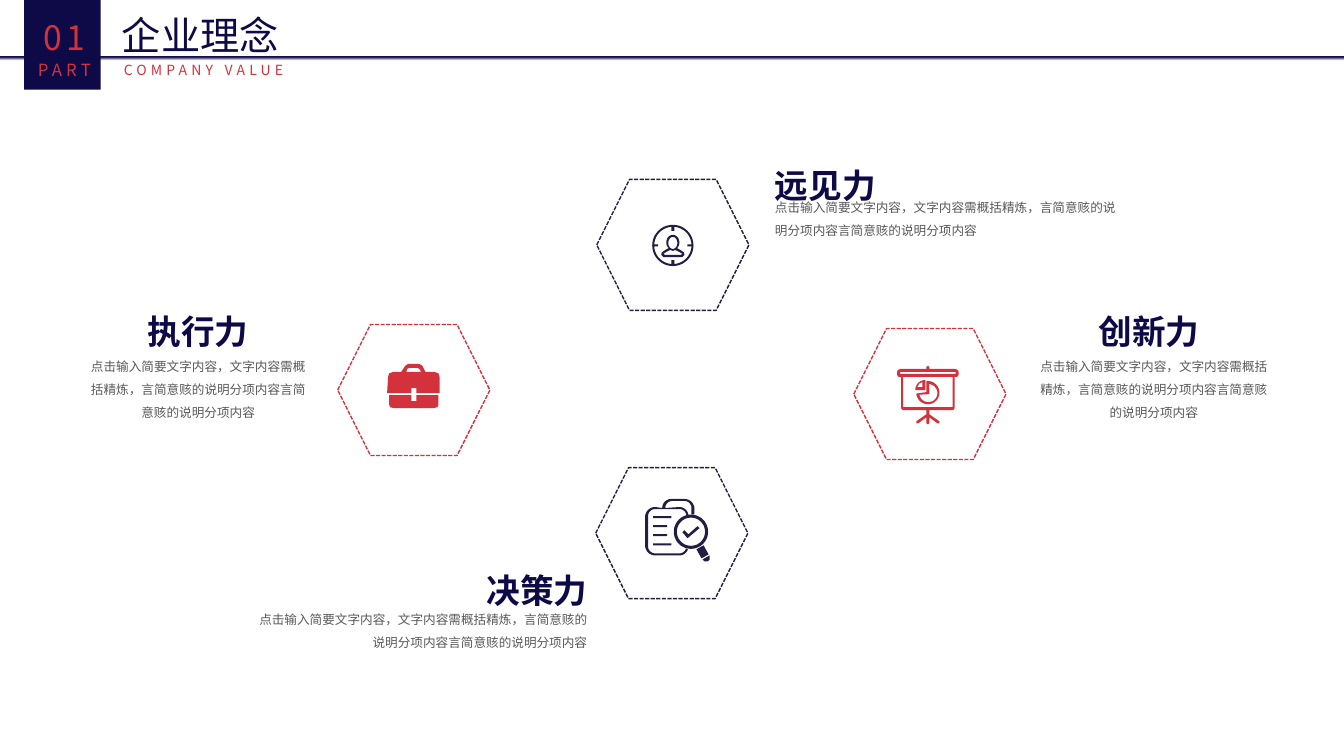
from math import cos, radians, sin

from lxml.etree import SubElement
from pptx import Presentation
from pptx.dml.color import RGBColor
from pptx.enum.dml import MSO_LINE
from pptx.enum.shapes import MSO_SHAPE
from pptx.enum.text import MSO_ANCHOR, MSO_AUTO_SIZE, PP_ALIGN
from pptx.oxml.ns import qn
from pptx.util import Emu, Inches, Pt

CELL = Inches(0.1)
SLIDE_COLUMNS, SLIDE_ROWS = 133.33, 75
FONT = "Noto Sans CJK SC"
NAVY, RED, INK, GREY, WHITE = "0D0A47", "D3323C", "201F42", "595959", "FFFFFF"
LEFT, CENTER, RIGHT = PP_ALIGN.LEFT, PP_ALIGN.CENTER, PP_ALIGN.RIGHT
SUMMARY = "点击输入简要文字内容，文字内容需概括精炼，言简意赅的说明分项内容言简意赅的说明分项内容"


def cells(*counts):
    """Turn counts of grid cells into lengths."""
    return [Emu(round(count * CELL)) for count in counts]


def color(hex_value):
    """Turn a hex string into a colour."""
    return RGBColor.from_string(hex_value)


def write(frame, lines, tint, align=LEFT, spacing=None, bold=False, tracking=0, wrap=True):
    """Fill a text frame with (text, size) lines of one style."""
    frame.word_wrap = wrap
    frame.auto_size = MSO_AUTO_SIZE.SHAPE_TO_FIT_TEXT
    frame.vertical_anchor = MSO_ANCHOR.TOP
    for index, (text, size) in enumerate(lines):
        paragraph = frame.add_paragraph() if index else frame.paragraphs[0]
        paragraph.text = text
        paragraph.alignment = align
        if spacing:
            paragraph.line_spacing = spacing
        font = paragraph.font
        font.size, font.bold, font.name = Pt(size), bold, FONT
        font.color.rgb = color(tint)
        properties = paragraph._p.pPr.find(qn("a:defRPr"))
        SubElement(properties, qn("a:ea"), typeface=FONT)
        if tracking:
            properties.set("spc", str(tracking * 100))


def add_text(slide, box, lines, tint, **style):
    """Add a text box on the grid."""
    write(slide.shapes.add_textbox(*cells(*box)).text_frame, lines, tint, **style)


def add_block(slide, kind, box, fill):
    """Add a preset shape with a plain fill and no line."""
    block = slide.shapes.add_shape(kind, *cells(*box))
    block.shadow.inherit = False
    block.fill.solid()
    block.fill.fore_color.rgb = color(fill)
    block.line.fill.background()
    return block


def add_hexagon(slide, left, top, tint):
    """Add a hexagon with a dashed outline and a translucent white fill."""
    hexagon = add_block(slide, MSO_SHAPE.HEXAGON, (left, top, 15.1, 13), WHITE)
    white = hexagon._element.spPr.find(qn("a:solidFill"))[0]
    SubElement(white, qn("a:alpha"), val="90000")
    hexagon.line.color.rgb = color(tint)
    hexagon.line.width = Pt(1)
    hexagon.line.dash_style = MSO_LINE.SQUARE_DOT


def add_rule(slide):
    """Add the full-width header rule with its gradient."""
    rule = add_block(slide, MSO_SHAPE.RECTANGLE, (0, 5.6, SLIDE_COLUMNS, 0.4), NAVY)
    rule.fill.gradient()
    gradient = rule._element.spPr.find(qn("a:gradFill"))
    stops = gradient.find(qn("a:gsLst"))
    stops.clear()
    for share, tint in ((0, NAVY), (17, "2C2254"), (26, "2C2254"), (100, "F6F8FC")):
        stop = SubElement(stops, qn("a:gs"), pos=str(share * 1000))
        SubElement(stop, qn("a:srgbClr"), val=tint)
    gradient.find(qn("a:lin")).set("ang", "5400000")


def arc(x, y, rx, ry, start, end):
    """List points along an elliptical arc, angles in degrees clockwise."""
    steps = max(4, round(abs(end - start) / 9))
    angles = [radians(start + (end - start) * i / steps) for i in range(steps + 1)]
    return [(x + rx * cos(a), y + ry * sin(a)) for a in angles]


def disc(x, y, rx, ry):
    """List points round a full ellipse."""
    return arc(x, y, rx, ry, 0, 360)


def bar(x, y, width, height):
    """List the corners of a rectangle."""
    return [(x, y), (x + width, y), (x + width, y + height), (x, y + height)]


def add_icon(slide, left, top, contours, tint):
    """Draw contours, in tenths of a cell, as one filled outline."""
    scaled = [[(x * 10, y * 10) for x, y in contour] for contour in contours]
    builder = slide.shapes.build_freeform(*scaled[0][0], scale=CELL / 100)
    for index, contour in enumerate(scaled):
        if index:
            builder.move_to(*contour[0])
        builder.add_line_segments(contour[1:], close=True)
    icon = builder.convert_to_shape(*cells(left, top))
    icon.shadow.inherit = False
    icon.fill.solid()
    icon.fill.fore_color.rgb = color(tint)
    icon.line.fill.background()


def briefcase():
    """Outline a briefcase."""
    lid = [(24, 24), (29, 24), (29, 29), (52, 29), (52, 13), (51, 9.5), (47, 8), (38, 8), (35, 2),
           (32, 0), (21, 0), (18, 2), (14, 8), (6, 8), (2, 9.5), (1, 13), (0, 29), (24, 29)]
    handle = [(20, 5), (22, 4), (30, 4), (32, 5), (34, 8), (19, 8)]
    base = [(29, 37), (24, 37), (24, 31), (2, 31), (2, 40), (3, 43), (7, 44), (46, 44),
            (50, 43), (51, 40), (51, 31), (29, 31)]
    return [lid, handle, base]


def target_person():
    """Outline a person inside a target ring."""
    ring = [disc(20.5, 20.5, r, r) for r in (20.5, 18.5)]
    ticks = [bar(19, 2, 3, 4), bar(19, 35, 3, 4), bar(2, 19.5, 4, 2), bar(35, 19.5, 4, 2)]
    body = arc(20.5, 17.5, 6.5, 7.5, 130, 410) + [
        (28, 25), (31.5, 27.5), (32, 30), (30, 32), (11, 32), (9, 30), (9.5, 27.5), (13, 25)]
    face = disc(20.5, 18, 4.5, 6)
    chest = [(18, 25), (14, 27), (11, 29), (13, 30), (28, 30), (30, 29), (27, 27), (23, 25),
             (20.5, 26)]
    return ring + ticks + [body, face, chest]


def checked_papers():
    """Outline two sheets under a magnifier with a check mark."""
    corners = [(34, 47, 9, 20, 90), (10, 46, 10, 90, 180), (10, 18, 10, 180, 270),
               (26, 9, 9, 180, 270), (39, 10, 10, 270, 360), (49, 15, 0, 0, 0), (46, 15, 0, 0, 0),
               (39, 9, 7, 360, 270), (27, 9, 7, 270, 180), (34, 17, 9, 270, 350),
               (41, 16, 0, 0, 0), (34, 17, 7, 340, 270), (10, 17, 7, 270, 180),
               (10, 47, 7, 180, 90), (34, 47, 7, 90, 20)]
    sheets = [point for x, y, r, start, end in corners for point in arc(x, y, r, r, start, end)]
    lens = [disc(45.5, 32.5, r, r) for r in (17, 14)]
    grip = [(58, 46), (51, 50), (56, 59), (63, 55)]
    tip = [(64, 56), (57, 60), (59, 62), (62, 62), (64, 60)]
    lines = [bar(8, 17 + 9 * i, width, 2) for i, width in enumerate((18, 14, 14, 18))]
    check = [(43, 35), (39, 31), (37, 33), (42, 39), (54, 29), (52, 27)]
    return [sheets, *lens, grip, tip, *lines, check]


def chart_board():
    """Outline a presentation board with a pie chart."""
    half = [(1.5, 3), (27.5, 3), (30, 4.5), (30.5, 6), (30.5, 9), (29, 11), (26.5, 11), (26.5, 42),
            (25, 44), (1.5, 44), (1.5, 48), (11.5, 55), (11.5, 57), (9.5, 57), (1.5, 51),
            (1.5, 57), (0, 58)]
    stand = [(30.5, 0), (32, 1)] + [(30.5 + x, y) for x, y in half]
    stand += [(30.5 - x, y) for x, y in reversed(half)] + [(29, 1)]
    pie = arc(30.5, 26.5, 11.5, 11.5, 270, 535) + [(29, 26), (29, 15)]
    pie_hole = arc(31, 27, 9, 9, 275, 530) + [(32, 28)]
    wedge = arc(28, 24, 10, 10, 180, 270) + [(28, 24)]
    wedge_hole = [(25, 16), (22, 17.5), (20, 21), (25, 21)]
    return [stand, bar(6, 11, 49, 30), bar(3, 6, 55, 2), pie, pie_hole, wedge, wedge_hole]


def add_value(slide, name, name_box, spacing, name_align, summary_box, summary_align):
    """Add one company value: its name and its summary."""
    add_text(slide, name_box, [(name, 24)], NAVY, align=name_align, spacing=spacing, bold=True)
    add_text(slide, summary_box, [(SUMMARY, 9)], GREY, align=summary_align, spacing=1.5)


def add_header(slide):
    """Add the title, its subtitle, the rule and the part number."""
    title = slide.shapes.title
    title.left, title.top, title.width, title.height = cells(11.1, 0.6, 17.7, 5.7)
    write(title.text_frame, [("企业理念", 28)], NAVY, wrap=False)
    add_text(slide, (11.3, 5.4, 29.1, 2.8), [("COMPANY VALUE", 10)], RED, spacing=1.14, tracking=3)
    add_rule(slide)
    add_block(slide, MSO_SHAPE.RECTANGLE, (2.4, 0, 7.6, 8.9), NAVY)
    add_text(slide, (2.4, 0.6, 8, 7.9), [("01", 24), ("PART", 12)], RED,
             align=CENTER, spacing=1.14, tracking=3)


def main():
    """Build the company values slide."""
    deck = Presentation()
    deck.slide_width, deck.slide_height = cells(SLIDE_COLUMNS, SLIDE_ROWS)
    slide = deck.slides.add_slide(deck.slide_layouts[5])
    for value in (
        ("执行力", (11.1, 30.4, 17.1, 5), None, CENTER, (7.7, 34.4, 23.9, 7.8), CENTER),
        ("创新力", (108, 30.4, 23.3, 5), None, LEFT, (101.9, 34.4, 25.1, 7.8), CENTER),
        ("决策力", (47.3, 54, 13.1, 7.1), 1.5, LEFT, (24.3, 59.5, 34.9, 5.3), RIGHT),
        ("远见力", (75.9, 13.9, 23.3, 6.4), 1.5, LEFT, (75.9, 18.6, 36.3, 5.3), LEFT),
    ):
        add_value(slide, *value)
    for hexagon, icon, contours, tint in (
        ((33.5, 32.2), (38.4, 36.1), briefcase(), RED),
        ((59.2, 17.8), (64.7, 22.3), target_person(), INK),
        ((59.1, 46.4), (64, 49.5), checked_papers(), INK),
        ((84.7, 32.6), (89, 36.3), chart_board(), RED),
    ):
        add_hexagon(slide, *hexagon, tint)
        add_icon(slide, *icon, contours, tint)
    add_header(slide)
    deck.save("out.pptx")


if __name__ == "__main__":
    main()
